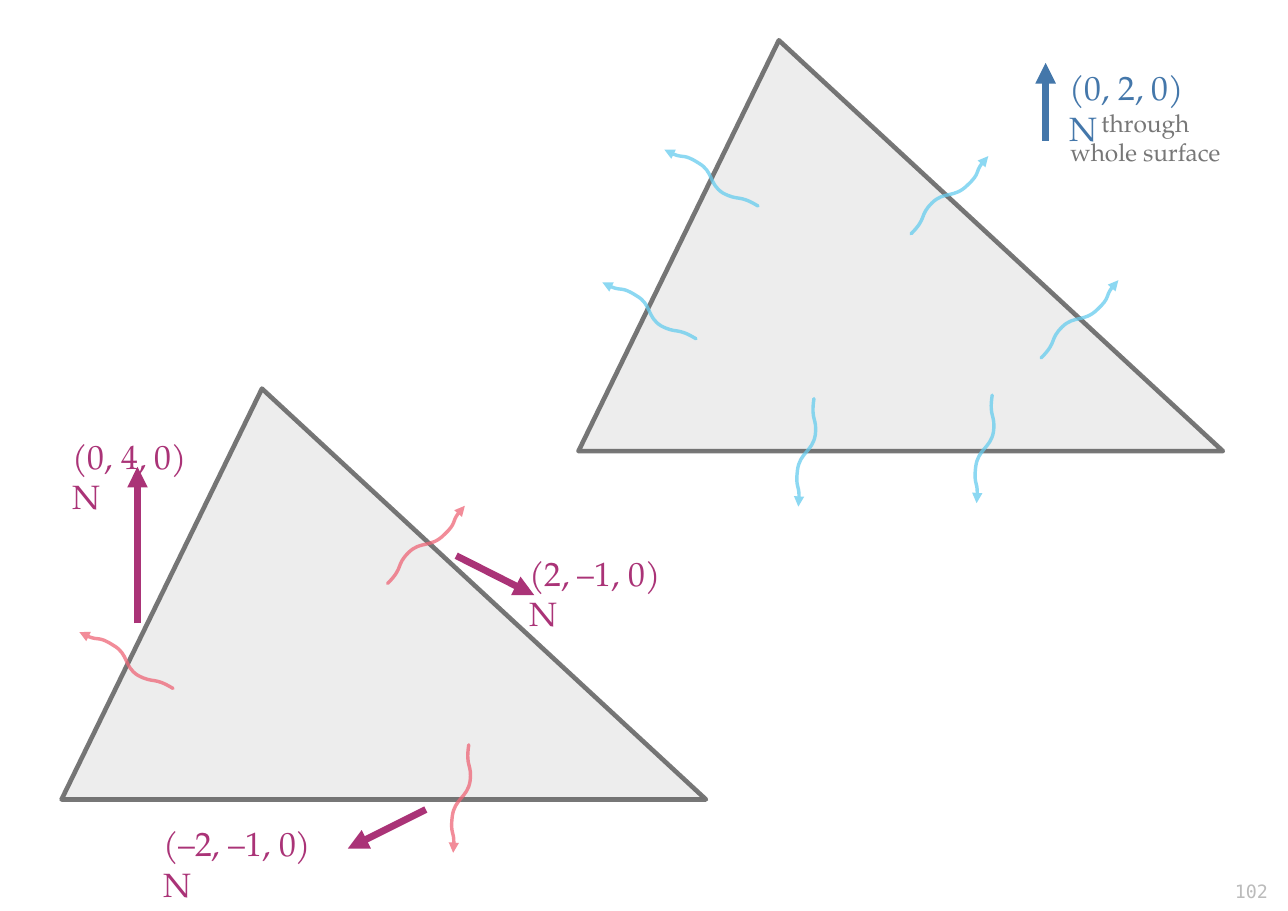
import pptx
import pptx.dml.color
import pptx.enum.shapes
import pptx.enum.text
import pptx.oxml.ns
import pptx.util
from lxml import etree

Cm, Pt = pptx.util.Cm, pptx.util.Pt
ALIGN = pptx.enum.text.PP_ALIGN
qn = pptx.oxml.ns.qn

PURPLE, BLUE, RED, CYAN = "AA3377", "4477AA", "EE6677", "66CCEE"
GREY, LIGHT, DARK = "777777", "BBBBBB", "555555"

# Three Bezier curves per wave: two controls and an end, in cm from its start
WAVES = {
    "left": [[(-0.46, -0.28), (-0.43, -0.1), (-0.81, -0.3)],
             [(-1.14, -0.51), (-1.02, -0.79), (-1.37, -0.99)],
             [(-1.73, -1.22), (-1.7, -1.04), (-2.16, -1.3)]],
    "right": [[(0.38, -0.38), (0.18, -0.41), (0.48, -0.71)],
              [(0.76, -0.99), (0.99, -0.81), (1.3, -1.12)],
              [(1.6, -1.4), (1.42, -1.42), (1.78, -1.79)]],
    "down": [[(-0.08, 0.53), (0.08, 0.43), (0.03, 0.84)],
             [(-0.03, 1.22), (-0.33, 1.24), (-0.38, 1.65)],
             [(-0.43, 2.06), (-0.3, 1.96), (-0.36, 2.49)]],
}


def rgb(color):
    return pptx.dml.color.RGBColor.from_string(color)


class Diagram:
    font = "TeX Gyre Pagella"

    def __init__(self, prs):
        self.shapes = prs.slides.add_slide(prs.slide_layouts[6]).shapes

    def set_alpha(self, fill, percent):
        color = fill.find(".//" + qn("a:srgbClr"))
        etree.SubElement(color, qn("a:alpha")).set("val", str(percent * 1000))

    def set_line(self, sp, color, width, alpha=100, arrow=False):
        sp.line.color.rgb = rgb(color)
        sp.line.width = Pt(width)
        ln = sp.line._get_or_add_ln()
        if alpha < 100:
            self.set_alpha(ln, alpha)
            ln.set("cap", "rnd")
            etree.SubElement(ln, qn("a:round"))
        if arrow:
            etree.SubElement(ln, qn("a:tailEnd")).set("type", "triangle")

    def triangle(self, x, y):
        kind = pptx.enum.shapes.MSO_SHAPE.ISOSCELES_TRIANGLE
        sp = self.shapes.add_shape(kind, Cm(x), Cm(y), Cm(14.86), Cm(9.47))
        sp.adjustments[0] = 0.311
        sp.shadow.inherit = False
        sp.fill.solid()
        sp.fill.fore_color.rgb = rgb(LIGHT)
        self.set_alpha(sp._element.spPr.find(qn("a:solidFill")), 25)
        self.set_line(sp, DARK, 3, 80)

    def arrow(self, x1, y1, x2, y2, color):
        kind = pptx.enum.shapes.MSO_CONNECTOR.STRAIGHT
        sp = self.shapes.add_connector(kind, Cm(x1), Cm(y1), Cm(x2), Cm(y2))
        self.set_line(sp, color, 4.5, arrow=True)
        etree.SubElement(sp._element.spPr, qn("a:effectLst"))

    def wave(self, x, y, direction, color):
        curves = [[(Cm(x + dx), Cm(y + dy)) for dx, dy in curve]
                  for curve in WAVES[direction]]
        builder = self.shapes.build_freeform(Cm(x), Cm(y))
        builder.add_line_segments([curve[-1] for curve in curves], close=False)
        sp = builder.convert_to_shape()
        # Bend each straight segment into its curve
        for segment, curve in zip(list(sp._element.iter(qn("a:lnTo"))), curves):
            bezier = etree.Element(qn("a:cubicBezTo"))
            for px, py in curve:
                pt = etree.SubElement(bezier, qn("a:pt"))
                pt.set("x", str(px - sp.left))
                pt.set("y", str(py - sp.top))
            segment.getparent().replace(segment, bezier)
        sp.shadow.inherit = False
        sp.fill.background()
        self.set_line(sp, color, 2.25, 75, arrow=True)

    def text(self, x, y, w, h, lines, size, color, align=ALIGN.LEFT,
             font=None, wrap=False):
        tf = self.shapes.add_textbox(Cm(x), Cm(y), Cm(w), Cm(h)).text_frame
        tf.word_wrap = wrap
        for i, line in enumerate(lines):
            p = tf.paragraphs[0] if i == 0 else tf.add_paragraph()
            p.alignment = align
            r = p.add_run()
            r.text = line
            r.font.name = font or self.font
            r.font.size = Pt(size)
            r.font.color.rgb = rgb(color)


def main():
    prs = pptx.Presentation()
    prs.slide_width, prs.slide_height = Cm(29.7), Cm(21)
    s = Diagram(prs)

    # Slide number
    s.text(26.95, 20.17, 2.54, 0.74, ["102"], 12, LIGHT, ALIGN.RIGHT,
           "DejaVu Sans Mono")

    # Surfaces
    s.triangle(1.42, 8.96)
    s.triangle(13.34, 0.93)

    # Force arrows
    for ends, color in [((3.17, 14.37, 3.17, 10.76), PURPLE),
                        ((10.52, 12.81, 12.32, 13.72), PURPLE),
                        ((9.82, 18.66, 8.02, 19.56), PURPLE),
                        ((24.11, 3.25, 24.11, 1.45), BLUE)]:
        s.arrow(*ends, color)

    # Force labels, with the unit wrapping to the second line
    for x, y, w, label, color in [(1.42, 9.92, 3.9, "(0, 4, 0) N", PURPLE),
                                  (11.95, 12.61, 4.28, "(2, –1, 0) N", PURPLE),
                                  (3.51, 18.85, 4.66, "(–2, –1, 0) N", PURPLE),
                                  (24.41, 1.42, 3.9, "(0, 2, 0) N", BLUE)]:
        s.text(x, y, w - 0.1 * 3.9, 1.32, [label], 22, color, wrap=True)
    s.text(24.32, 2.36, 4.19, 1.78, ["through", "whole surface"], 16, GREY,
           ALIGN.CENTER)

    # Waves crossing the edges
    for x, y, direction, color in [(3.99, 15.87, "left", RED),
                                   (8.94, 13.45, "right", RED),
                                   (10.81, 17.17, "down", RED),
                                   (16.05, 7.81, "left", CYAN),
                                   (21.01, 5.39, "right", CYAN),
                                   (22.88, 9.11, "down", CYAN),
                                   (17.48, 4.75, "left", CYAN),
                                   (24.01, 8.25, "right", CYAN),
                                   (18.77, 9.19, "down", CYAN)]:
        s.wave(x, y, direction, color)

    prs.save("out.pptx")


if __name__ == "__main__":
    main()
